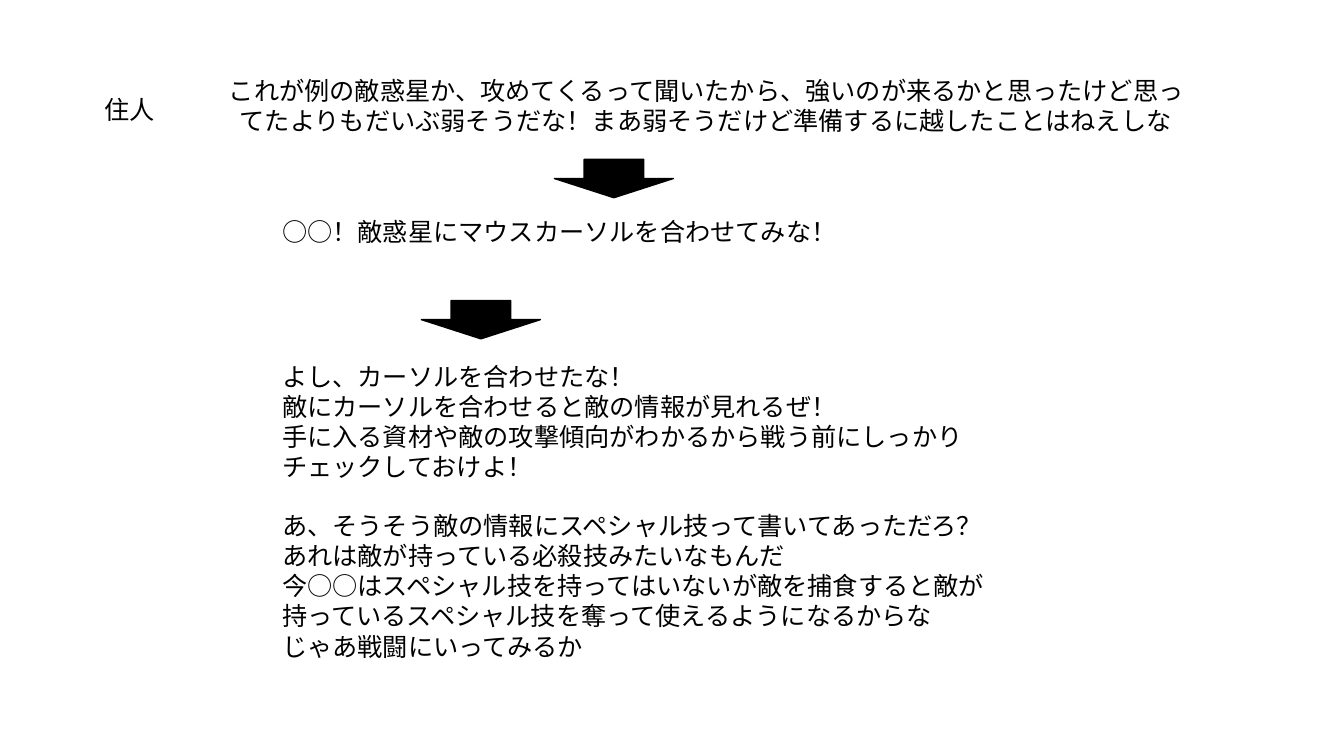
from pptx import Presentation
from pptx.dml.color import RGBColor
from pptx.enum.shapes import MSO_SHAPE
from pptx.enum.text import PP_ALIGN
from pptx.util import Pt

COLORS = {"ink": "000000", "back": "FFFFFF"}


class Page:
    """Draws the talk boxes and arrows on one slide in a shared style."""

    def __init__(self, slide):
        self.slide = slide
        self.size = Pt(18)
        self.ink = RGBColor.from_string(COLORS["ink"])
        fill = slide.background.fill
        fill.solid()
        fill.fore_color.rgb = RGBColor.from_string(COLORS["back"])

    def text(self, left, top, width, height, lines, font="Calibri", align=PP_ALIGN.LEFT):
        box = self.slide.shapes.add_textbox(Pt(left), Pt(top), Pt(width), Pt(height))
        frame = box.text_frame
        frame.word_wrap = True
        frame.text = "\n".join(lines)
        for para in frame.paragraphs:
            para.alignment = align
            para.font.name = font
            para.font.size = self.size
            para.font.color.rgb = self.ink

    def arrow(self, left, top):
        shape = self.slide.shapes.add_shape(
            MSO_SHAPE.DOWN_ARROW, Pt(left), Pt(top), Pt(85), Pt(27.4))
        shape.shadow.inherit = False
        shape.fill.solid()
        shape.fill.fore_color.rgb = self.ink
        shape.line.color.rgb = self.ink
        shape.line.width = Pt(1)


def main():
    deck = Presentation()
    deck.slide_width, deck.slide_height = Pt(960), Pt(540)
    page = Page(deck.slides.add_slide(deck.slide_layouts[6]))

    page.text(67.7, 64.1, 82.8, 29, ["住人"])
    page.text(150.5, 50.4, 707, 51, [
        "これが例の敵惑星か、攻めてくるって聞いたから、強いのが来るかと思ったけど思ってたよりもだいぶ弱そうだな！まあ弱そうだけど準備するに越したことはねえしな",
    ], "Arial", PP_ALIGN.CENTER)

    talk = [
        (151.2, 29, ["○○！敵惑星にマウスカーソルを合わせてみな！"]),
        (254.2, 94.5, [
            "よし、カーソルを合わせたな！",
            "敵にカーソルを合わせると敵の情報が見れるぜ！",
            "手に入る資材や敵の攻撃傾向がわかるから戦う前にしっかりチェックしておけよ！",
        ]),
        (360.7, 116.5, [
            "あ、そうそう敵の情報にスペシャル技って書いてあっただろ？",
            "あれは敵が持っている必殺技みたいなもんだ",
            "今○○はスペシャル技を持ってはいないが敵を捕食すると敵が持っているスペシャル技を奪って使えるようになるからな",
            "じゃあ戦闘にいってみるか",
        ]),
    ]
    for top, height, lines in talk:
        page.text(194.4, top, 547.2, height, lines)

    for left, top in [(396, 113.8), (301, 214.6)]:
        page.arrow(left, top)

    deck.save("out.pptx")


if __name__ == "__main__":
    main()
